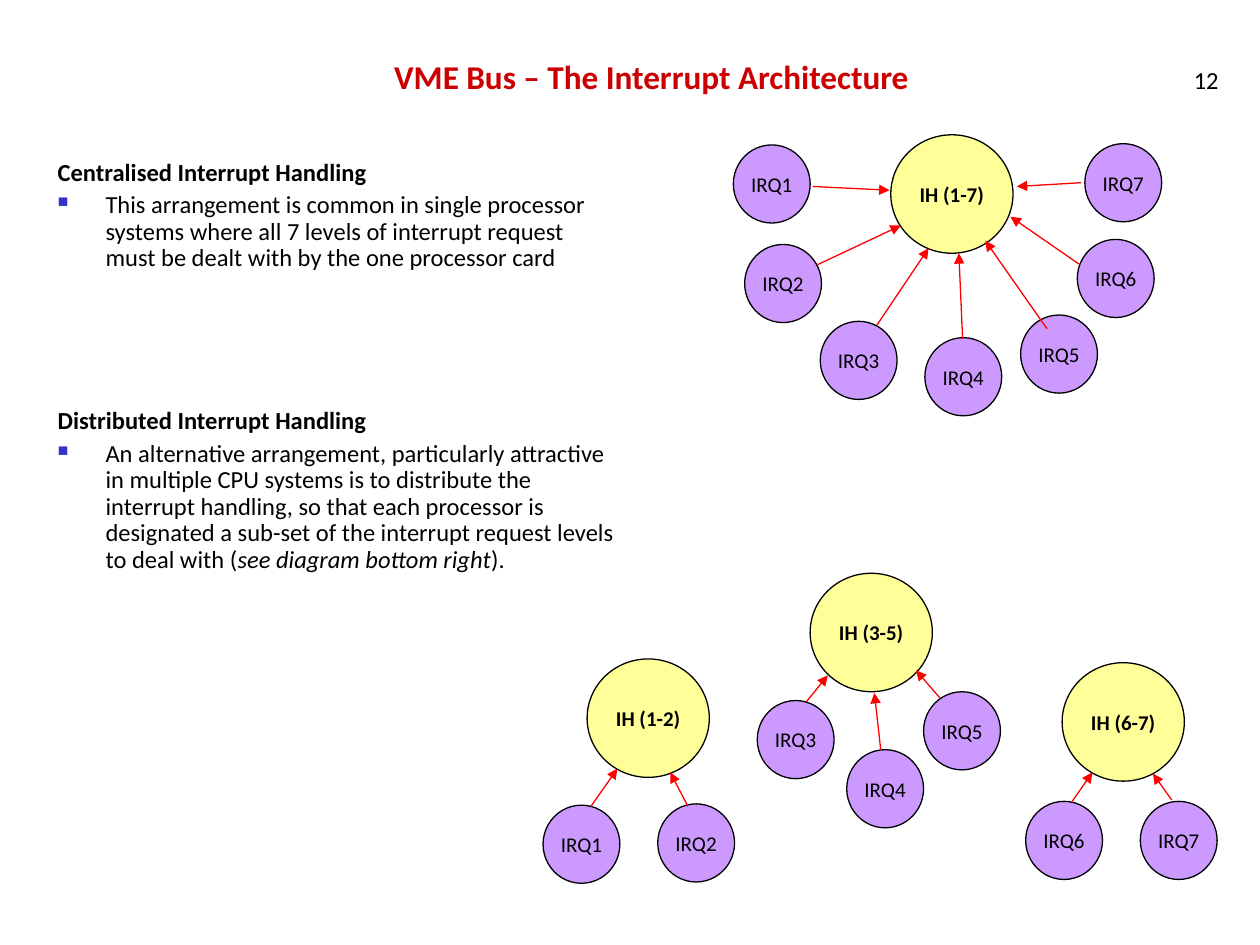
from dataclasses import dataclass

from lxml import etree
from pptx import Presentation
from pptx.dml.color import RGBColor
from pptx.enum.shapes import MSO_CONNECTOR, MSO_SHAPE
from pptx.enum.text import MSO_ANCHOR, MSO_AUTO_SIZE, PP_ALIGN
from pptx.oxml.ns import qn
from pptx.util import Inches, Pt

ELLIPSE, STRAIGHT = MSO_SHAPE.OVAL, MSO_CONNECTOR.STRAIGHT
LEFT, CENTER, RIGHT = PP_ALIGN.LEFT, PP_ALIGN.CENTER, PP_ALIGN.RIGHT
BOTTOM, MIDDLE = MSO_ANCHOR.BOTTOM, MSO_ANCHOR.MIDDLE

# Grid of square cells: 100 columns by 75 rows
SLIDE_W, SLIDE_H = Inches(10), Inches(7.5)
CELL = SLIDE_W / 100
HANDLER_SIZE = (9.7, 9.4)
REQUEST_SIZE = (6.1, 6.2)


@dataclass(frozen=True)
class Theme:
    font: str = "Calibri"
    title: str = "CC0000"
    text: str = "000000"
    bullet: str = "3333CC"
    handler: str = "FFFF99"
    request: str = "CC99FF"
    arrow: str = "FF0000"
    title_pt: float = 19
    body_pt: float = 14
    label_pt: float = 12
    line_pt: float = 0.75


THEME = Theme()

# Handler label, its corner, then each request as
# (level, circle corner, arrow start, arrow end) measured from the handler corner
CLUSTERS = [
    ("IH (1-7)", (70.7, 10.7), [
        (1, (-12.5, 0.8), (-6.2, 4.1), (-0.1, 4.4)),
        (2, (-11.6, 8.7), (-5.8, 10.3), (0.8, 7.2)),
        (3, (-5.6, 14.8), (-1.1, 15.1), (3, 9)),
        (4, (2.7, 16.1), (5.7, 16.2), (5.4, 9.4)),
        (5, (10.3, 14.3), (12.4, 15.4), (7.5, 8.4)),
        (6, (14.8, 8.3), (15, 10.3), (9.5, 6.5)),
        (7, (15.4, 0.7), (15.1, 3.8), (10, 4.1)),
    ]),
    ("IH (1-2)", (46.6, 52.3), [
        (1, (-3.5, 11.6), (0.3, 11.7), (2.4, 8.7)),
        (2, (5.6, 11.5), (8, 11.7), (6.6, 9)),
    ]),
    ("IH (3-5)", (64.3, 45.5), [
        (3, (-4.2, 10.1), (-0.3, 10.2), (1.4, 8.1)),
        (4, (2.9, 14), (5.6, 14), (5.1, 9.5)),
        (5, (9, 9.4), (10.3, 9.9), (8.4, 7.7)),
    ]),
    ("IH (6-7)", (84.3, 52.6), [
        (6, (-2.9, 11), (0.8, 11), (2.4, 8.7)),
        (7, (6.2, 11), (8.7, 10.9), (7.2, 8.8)),
    ]),
]

SECTIONS = [
    ("Centralised Interrupt Handling", [
        ("This arrangement is common in single processor systems where all "
         "7 levels of interrupt request must be dealt with by the one "
         "processor card", False)]),
    ("Distributed Interrupt Handling", [
        ("An alternative arrangement, particularly attractive in multiple "
         "CPU systems is to distribute the interrupt handling, so that each "
         "processor is designated a sub-set of the interrupt request levels "
         "to deal with (", False),
        ("see diagram bottom right", True),
        (").", False)]),
]


def cells(*values):
    return [round(v * CELL) for v in values]


def rgb(code):
    return RGBColor.from_string(code)


def write(p, text, size=THEME.body_pt, color=THEME.text, bold=False,
          italic=False, align=LEFT):
    p.alignment = align
    r = p.add_run()
    r.text = text
    f = r.font
    f.name, f.size, f.bold, f.italic = THEME.font, Pt(size), bold, italic
    f.color.rgb = rgb(color)


def add_bullet(p):
    pPr = p._p.get_or_add_pPr()
    pPr.set("marL", str(Inches(0.38)))
    pPr.set("indent", str(-Inches(0.38)))
    color = etree.SubElement(pPr, qn("a:buClr"))
    etree.SubElement(color, qn("a:srgbClr"), val=THEME.bullet)
    etree.SubElement(pPr, qn("a:buSzPct"), val="60000")
    etree.SubElement(pPr, qn("a:buChar"), char="■")


def add_title(s, box):
    sp = s.shapes.title
    sp.left, sp.top, sp.width, sp.height = cells(*box)
    tf = sp.text_frame
    tf.auto_size, tf.vertical_anchor = MSO_AUTO_SIZE.NONE, BOTTOM
    write(tf.paragraphs[0], "VME Bus – The Interrupt Architecture",
          size=THEME.title_pt, color=THEME.title, bold=True, align=CENTER)


def add_page_number(s, box):
    tf = s.shapes.add_textbox(*cells(*box)).text_frame
    tf.word_wrap, tf.vertical_anchor = True, BOTTOM
    write(tf.paragraphs[0], "12", align=RIGHT)


def add_body(s, box):
    tf = s.shapes.add_textbox(*cells(*box)).text_frame
    tf.word_wrap = True
    for i, (heading, runs) in enumerate(SECTIONS):
        p = tf.add_paragraph() if i else tf.paragraphs[0]
        p.line_spacing = 0.9
        if i:
            p.space_before = Pt(78)
        write(p, heading, bold=True)

        p = tf.add_paragraph()
        add_bullet(p)
        p.line_spacing, p.space_before = 0.9, Pt(3.5)
        for text, italic in runs:
            write(p, text, italic=italic)


def add_circle(s, box, label, fill, bold=False):
    sp = s.shapes.add_shape(ELLIPSE, *cells(*box))
    sp.shadow.inherit = False
    sp.fill.solid()
    sp.fill.fore_color.rgb = rgb(fill)
    sp.line.color.rgb = rgb(THEME.text)
    sp.line.width = Pt(THEME.line_pt)
    tf = sp.text_frame
    tf.word_wrap, tf.vertical_anchor = False, MIDDLE
    write(tf.paragraphs[0], label, size=THEME.label_pt, bold=bold, align=CENTER)


def add_arrow(s, start, end):
    line = s.shapes.add_connector(STRAIGHT, *cells(*start, *end))
    line.line.color.rgb = rgb(THEME.arrow)
    line.line.width = Pt(THEME.line_pt)
    etree.SubElement(line.line._get_or_add_ln(), qn("a:tailEnd"), type="triangle")
    etree.SubElement(line._element.spPr, qn("a:effectLst"))


def add_cluster(s, corner, label, requests):
    def place(offset):
        return corner[0] + offset[0], corner[1] + offset[1]

    add_circle(s, (*corner, *HANDLER_SIZE), label, THEME.handler, bold=True)
    for level, circle, start, end in requests:
        add_circle(s, (*place(circle), *REQUEST_SIZE), f"IRQ{level}", THEME.request)
        add_arrow(s, place(start), place(end))


def main():
    prs = Presentation()
    prs.slide_width, prs.slide_height = SLIDE_W, SLIDE_H
    s = prs.slides.add_slide(prs.slide_layouts[5])

    # Heading row
    add_title(s, (3.5, 1.2, 96.4, 6.9))
    add_page_number(s, (76.9, 3, 20.8, 5))

    # Explanations on the left
    add_body(s, (3.6, 12.2, 46.3, 61.6))

    # Interrupt handlers with their request levels
    for label, corner, requests in CLUSTERS:
        add_cluster(s, corner, label, requests)

    prs.save("out.pptx")


if __name__ == "__main__":
    main()
